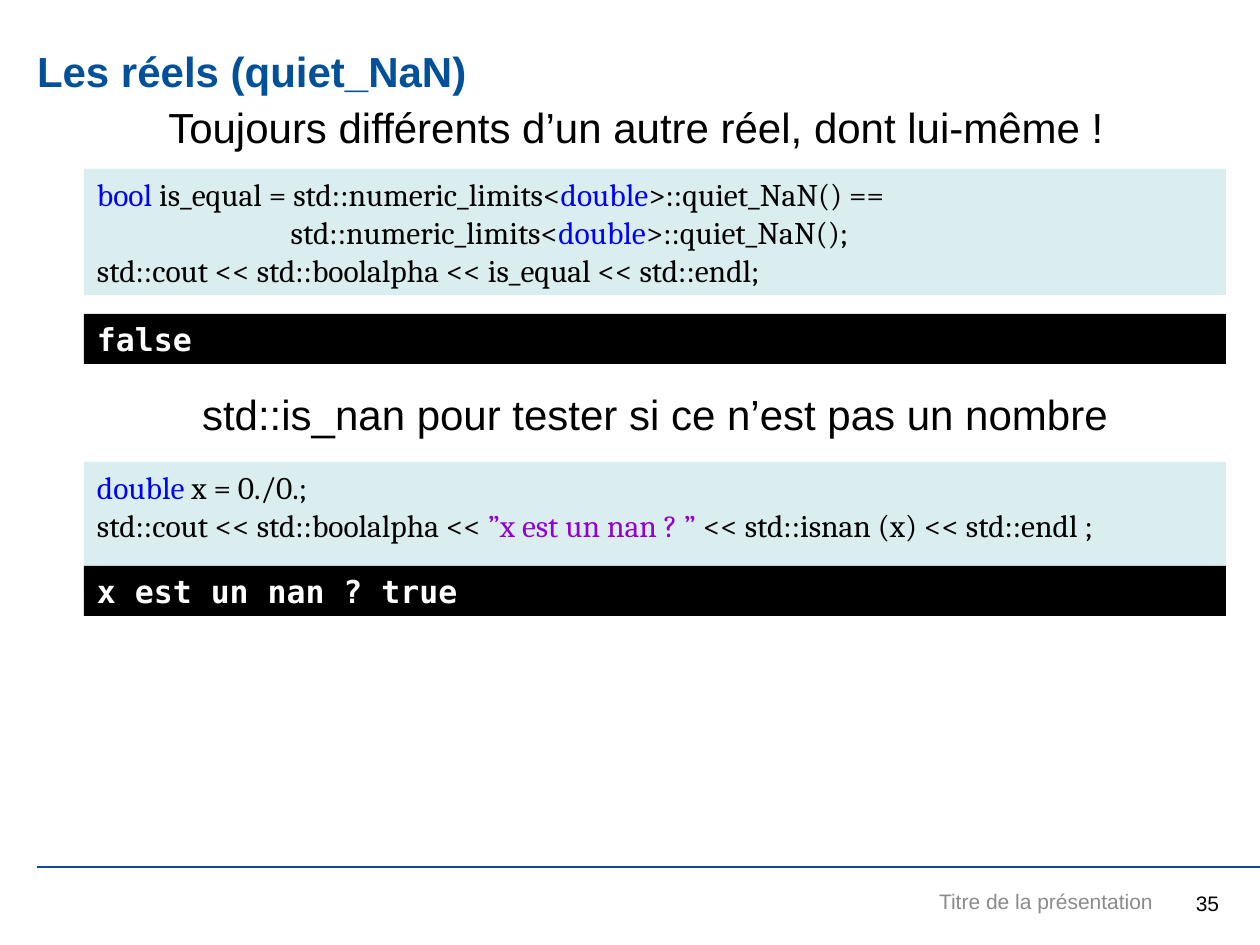
from pptx import Presentation
from pptx.dml.color import RGBColor
from pptx.enum.shapes import MSO_CONNECTOR, MSO_SHAPE
from pptx.enum.text import MSO_ANCHOR, PP_ALIGN
from pptx.oxml.ns import qn
from pptx.util import Emu, Pt
from lxml import etree

PX = 914400 / 126
COLORS = {
    "title": "00509A", "rule": "11489C", "footer": "8B8B8B",
    "code_bg": "DAEDEF", "black": "000000", "white": "FFFFFF",
    "keyword": "0000FF", "string": "9400D2",
}
PAD = (13, 6)
LEFT, WIDTH = 84, 1142


def px(v):
    return Emu(round(v * PX))


def rgb(name):
    return RGBColor.from_string(COLORS[name])


def place(shape, x, y, w, h):
    shape.left, shape.top, shape.width, shape.height = map(px, (x, y, w, h))


def style(p, size, font="Arial", color=None, bold=False, align=PP_ALIGN.LEFT):
    p.alignment = align
    f = p.font
    f.size, f.name, f.bold = Pt(size), font, bold
    if color:
        f.color.rgb = rgb(color)


def frame(shape, anchor=MSO_ANCHOR.TOP, pad=PAD):
    tf = shape.text_frame
    tf.word_wrap = True
    tf.vertical_anchor = anchor
    tf.margin_left = tf.margin_right = px(pad[0])
    tf.margin_top = tf.margin_bottom = px(pad[1])
    return tf


def add_title(s, text):
    title = s.shapes.title
    place(title, 37, 0, 1211, 141)
    tf = frame(title, MSO_ANCHOR.MIDDLE, (0, 0))
    tf.text = text
    style(tf.paragraphs[0], 24, color="title", bold=True)


def add_text(s, box, text, size, color="black", align=PP_ALIGN.CENTER,
             anchor=MSO_ANCHOR.TOP, pad=PAD):
    tf = frame(s.shapes.add_textbox(*map(px, box)), anchor, pad)
    tf.text = text
    style(tf.paragraphs[0], size, color=color, align=align)


def add_panel(s, y, h, fill):
    sp = s.shapes.add_shape(MSO_SHAPE.RECTANGLE, *map(px, (LEFT, y, WIDTH, h)))
    sp.shadow.inherit = False
    sp.fill.solid()
    sp.fill.fore_color.rgb = rgb(fill)
    sp.line.fill.background()
    return frame(sp)


def add_code(s, y, lines):
    tf = add_panel(s, y, 126, "code_bg")
    for i, line in enumerate(lines):
        p = tf.add_paragraph() if i else tf.paragraphs[0]
        style(p, 18, "Cambria")
        for text, color in line:
            r = p.add_run()
            r.text = text
            r.font.color.rgb = rgb(color)


def add_output(s, y, text):
    tf = add_panel(s, y, 50, "black")
    tf.text = text
    style(tf.paragraphs[0], 18, "DejaVu Sans Mono", "white", True)


def add_rule(s, x1, x2, y):
    line = s.shapes.add_connector(MSO_CONNECTOR.STRAIGHT, px(x1), px(y), px(x2), px(y))
    line.line.color.rgb = rgb("rule")
    line.line.width = Pt(0.75)
    etree.SubElement(line._element.spPr, qn("a:effectLst"))


def main():
    prs = Presentation()
    prs.slide_width, prs.slide_height = px(1260), px(945)
    s = prs.slides.add_slide(prs.slide_layouts[5])

    add_rule(s, 37, 1260, 867)
    add_title(s, "Les réels (quiet_NaN)")
    add_text(s, (37, 101, 1198, 59),
             "Toujours différents d’un autre réel, dont lui-même !", 24, pad=(0, 0))
    add_text(s, (1155, 861, 105, 84), "35", 12, anchor=MSO_ANCHOR.MIDDLE)
    add_text(s, (392, 876, 774, 50), "Titre de la présentation", 12, "footer",
             PP_ALIGN.RIGHT, MSO_ANCHOR.MIDDLE)

    add_code(s, 169, [
        [("bool", "keyword"), (" is_equal = std::numeric_limits<", "black"),
         ("double", "keyword"), (">::quiet_NaN() ==", "black")],
        [("                            std::numeric_limits<", "black"),
         ("double", "keyword"), (">::quiet_NaN();", "black")],
        [("std::cout << std::boolalpha << is_equal << std::endl;", "black")],
    ])
    add_output(s, 314, "false")
    add_text(s, (LEFT, 383, WIDTH, 63),
             "std::is_nan pour tester si ce n’est pas un nombre", 24)
    add_code(s, 462, [
        [("double ", "keyword"), ("x = 0./0.;", "black")],
        [("std::cout << std::boolalpha << ", "black"),
         ("”x est un nan ? ” ", "string"),
         ("<< std::isnan (x) << std::endl ;", "black")],
    ])
    add_output(s, 566, "x est un nan ? true")
    prs.save("out.pptx")


if __name__ == "__main__":
    main()
